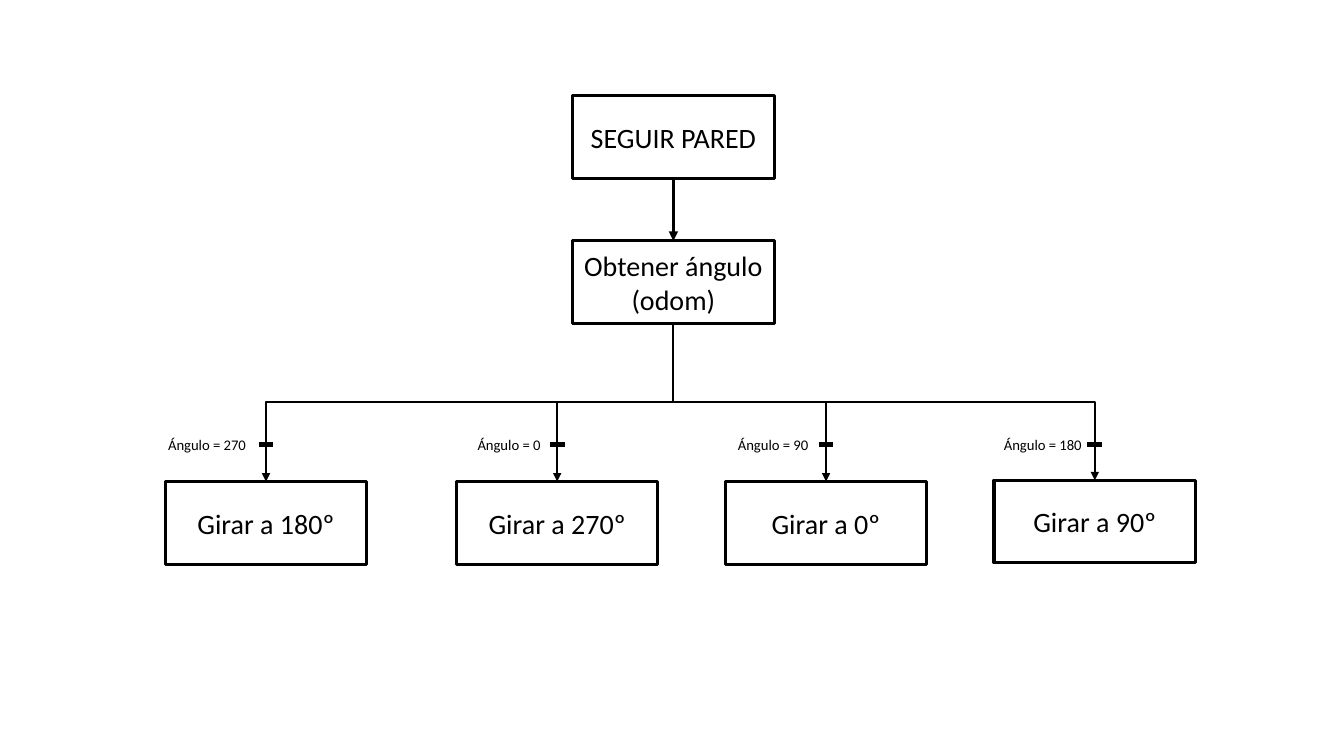
from pptx import Presentation
from pptx.dml.color import RGBColor
from pptx.enum.shapes import MSO_CONNECTOR as LINK, MSO_SHAPE
from pptx.enum.text import MSO_ANCHOR, MSO_AUTO_SIZE, PP_ALIGN
from pptx.oxml.ns import qn
from pptx.util import Pt
from lxml.etree import SubElement

BLACK, WHITE = "000000", "FFFFFF"
BOX_W, BOX_H = 144, 59
TRUNK_LEFT, START_TOP, READ_TOP = 409, 68.4, 172
TICK_Y, TICK_W = 317.5, 10.5
BOTTOM, TOP = 2, 0


def paint(color_format, hex_color):
    color_format.rgb = RGBColor.from_string(hex_color)


def style_line(link, weight, arrow):
    link.line.width = Pt(weight)
    paint(link.line.color, BLACK)
    if arrow:
        SubElement(link.line._get_or_add_ln(), qn("a:tailEnd"), type="triangle")
    SubElement(link._element.spPr, qn("a:effectLst"))


prs = Presentation()
prs.slide_width, prs.slide_height = Pt(960), Pt(540)
slide = prs.slides.add_slide(prs.slide_layouts[6])
shapes = slide.shapes

steps = [
    ("SEGUIR PARED", TRUNK_LEFT, START_TOP),
    ("Obtener ángulo (odom)", TRUNK_LEFT, READ_TOP),
    ("Girar a 180º", 118, 344),
    ("Girar a 270º", 326, 344),
    ("Girar a 0º", 518, 344),
    ("Girar a 90º", 710, 343),
]
boxes = []
for wording, left, top in steps:
    box = shapes.add_shape(MSO_SHAPE.RECTANGLE, Pt(left), Pt(top), Pt(BOX_W), Pt(BOX_H))
    box.shadow.inherit = False
    box.fill.solid()
    paint(box.fill.fore_color, WHITE)
    box.line.width = Pt(2.25)
    paint(box.line.color, BLACK)
    box.text_frame.vertical_anchor = MSO_ANCHOR.MIDDLE
    paragraph = box.text_frame.paragraphs[0]
    paragraph.alignment = PP_ALIGN.CENTER
    run = paragraph.add_run()
    run.text = wording
    run.font.name, run.font.size = "Calibri", Pt(20)
    paint(run.font.color, BLACK)
    boxes.append(box)

start, read_angle, *turns = boxes

descent = shapes.add_connector(LINK.STRAIGHT, 0, 0, 0, 0)
descent.begin_connect(start, BOTTOM)
descent.end_connect(read_angle, TOP)
style_line(descent, 2.25, True)

conditions = [
    ("Ángulo = 270", 113, 71),
    ("Ángulo = 0", 334, 60),
    ("Ángulo = 90", 520, 65.5),
    ("Ángulo = 180", 710, 71),
]
for turn, (condition, label_left, label_width) in zip(turns, conditions):
    branch = shapes.add_connector(LINK.ELBOW, 0, 0, 0, 0)
    branch.begin_connect(read_angle, BOTTOM)
    branch.end_connect(turn, TOP)
    goes_right = turn.left > read_angle.left
    mid_x = branch.left + branch.width // 2
    mid_y = branch.top + branch.height // 2
    branch.width, branch.height = branch.height, branch.width
    branch.left = mid_x - branch.width // 2
    branch.top = mid_y - branch.height // 2
    xfrm = branch._element.spPr.find(qn("a:xfrm"))
    xfrm.set("rot", "16200000" if goes_right else "5400000")
    xfrm.set("flipH", "1" if goes_right else "0")
    style_line(branch, 1.5, True)

    center = turn.left + turn.width // 2
    tick = shapes.add_connector(
        LINK.STRAIGHT, center - Pt(TICK_W / 2), Pt(TICK_Y), center + Pt(TICK_W / 2), Pt(TICK_Y)
    )
    style_line(tick, 3, False)

    label = shapes.add_textbox(Pt(label_left), Pt(307.5), Pt(label_width), Pt(20))
    label.text_frame.word_wrap = False
    label.text_frame.auto_size = MSO_AUTO_SIZE.SHAPE_TO_FIT_TEXT
    run = label.text_frame.paragraphs[0].add_run()
    run.text = condition
    run.font.name, run.font.size = "Calibri", Pt(10.5)
    paint(run.font.color, BLACK)

prs.save("out.pptx")
